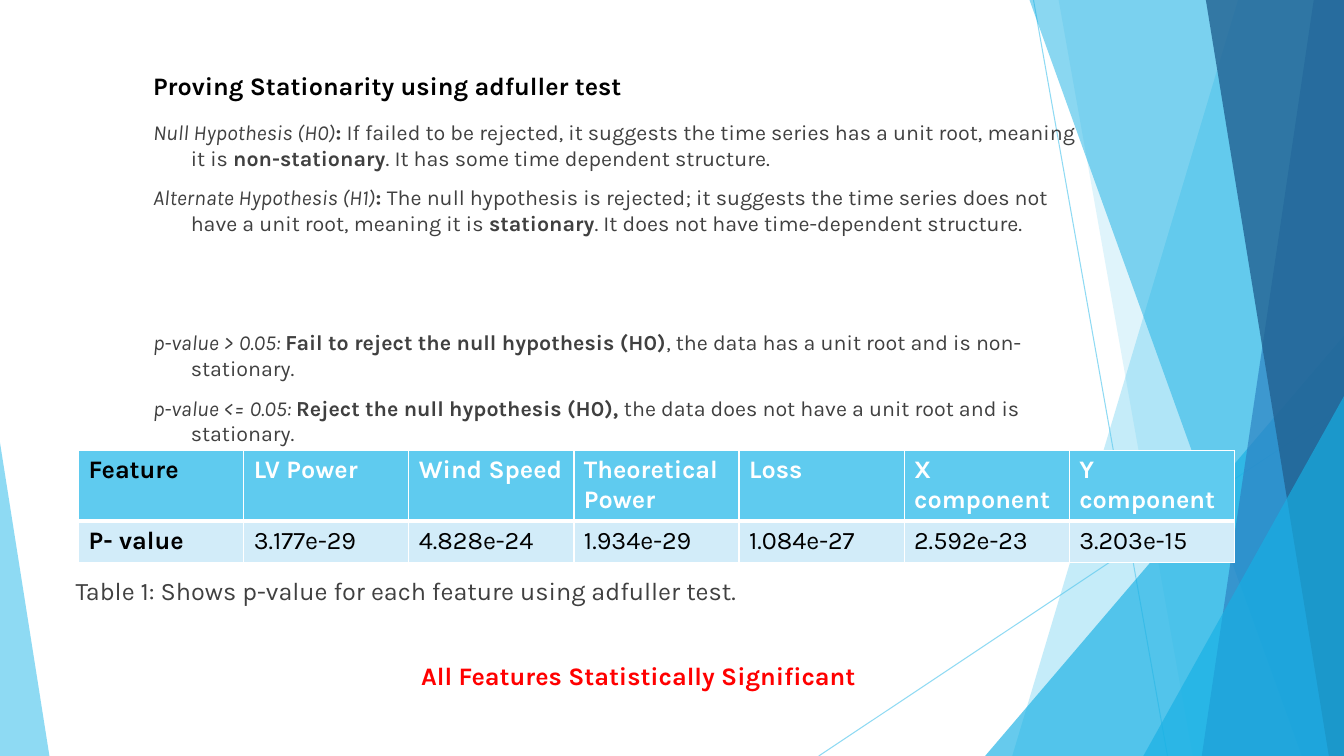
import pptx
import pptx.dml.color
import pptx.enum.shapes
import pptx.oxml
import pptx.oxml.ns
import pptx.util

SKY, AZURE, BLUE, NAVY = "5FCBEF", "17B0E4", "2E83C3", "226292"
PALE, WHITE, BLACK, GREY, RED = "D2ECF9", "FFFFFF", "000000", "404040", "FF0000"


def rgb(code):
    return pptx.dml.color.RGBColor.from_string(code)


class Board:
    """Slide with one font; all lengths are percent of its width or height."""

    def __init__(self, font, size):
        self.deck = pptx.Presentation()
        self.deck.slide_width = pptx.util.Inches(13.33)
        self.deck.slide_height = pptx.util.Inches(7.5)
        self.font, self.size = font, size
        self.slide = self.deck.slides.add_slide(self.deck.slide_layouts[6])
        self.shapes = self.slide.shapes

    def across(self, share):
        return round(self.deck.slide_width * share / 100)

    def down(self, share):
        return round(self.deck.slide_height * share / 100)

    def box(self, left, top, width, height):
        return (self.across(left), self.down(top),
                self.across(width), self.down(height))

    def fade(self, shape, share):
        """Set the opacity of the shape's one colour."""
        tint = next(shape._element.spPr.iter(pptx.oxml.ns.qn("a:srgbClr")))
        alpha = tint.makeelement(pptx.oxml.ns.qn("a:alpha"), {"val": str(share * 1000)})
        tint.append(alpha)

    def paint(self, shape, color, share):
        shape.shadow.inherit = False
        shape.fill.solid()
        shape.fill.fore_color.rgb = rgb(color)
        shape.line.fill.background()
        self.fade(shape, share)

    def line(self, start, end, color, share):
        kind = pptx.enum.shapes.MSO_CONNECTOR.STRAIGHT
        line = self.shapes.add_connector(
            kind, self.across(start[0]), self.down(start[1]),
            self.across(end[0]), self.down(end[1]))
        line.line.color.rgb = rgb(color)
        line.line.width = pptx.util.Pt(0.75)
        self.fade(line, share)
        spot = line._element.spPr
        spot.append(spot.makeelement(pptx.oxml.ns.qn("a:effectLst"), {}))

    def band(self, top, foot, color, share):
        """Fill from a slanted left edge to the slide's right side."""
        points = [(self.across(x), self.down(y))
                  for x, y in ((top, 0), (100, 0), (100, 100), (foot, 100))]
        path = self.shapes.build_freeform(*points[0], scale=1.0)
        path.add_line_segments(points[1:], close=True)
        self.paint(path.convert_to_shape(), color, share)

    def wedge(self, left, top, width, apex, color, share):
        """Triangle that stands on the slide's foot."""
        kind = pptx.enum.shapes.MSO_SHAPE.ISOSCELES_TRIANGLE
        shape = self.shapes.add_shape(kind, *self.box(left, top, width, 100 - top))
        shape.adjustments[0] = apex
        self.paint(shape, color, share)

    def style(self, run, color, size, bold=False, italic=False):
        run.font.name = self.font
        run.font.size = pptx.util.Pt(size)
        run.font.color.rgb = rgb(color)
        run.font.bold, run.font.italic = bold, italic

    def frame(self, *place):
        frame = self.shapes.add_textbox(*self.box(*place)).text_frame
        frame.word_wrap = True
        return frame

    def label(self, place, text, color, bold=True):
        frame = self.frame(*place)
        frame.text = text
        self.style(frame.paragraphs[0].runs[0], color, self.size, bold)

    def prose(self, place, items, color, size, hang):
        """Items are (space before, parts); a part is (text, mark)."""
        frame = self.frame(*place)
        for n, (space, parts) in enumerate(items):
            para = frame.add_paragraph() if n else frame.paragraphs[0]
            para.space_before = pptx.util.Pt(space)
            props = para._p.get_or_add_pPr()
            props.set("marL", str(self.across(hang)))
            props.set("indent", str(-self.across(hang)))
            for text, mark in parts:
                run = para.add_run()
                run.text = text
                self.style(run, color, size, mark == "b", mark == "i")

    def edge(self, cell, **widths):
        props = cell._tc.get_or_add_tcPr()
        for side, width in widths.items():
            props.append(pptx.oxml.parse_xml(
                f'<a:ln{side} {pptx.oxml.ns.nsdecls("a")} w="{pptx.util.Pt(width)}">'
                f'<a:solidFill><a:srgbClr val="{WHITE}"/></a:solidFill></a:ln{side}>'))

    def table(self, place, rows, heights):
        grid = self.shapes.add_table(len(rows), len(rows[0]), *self.box(*place)).table
        for r, row in enumerate(rows):
            grid.rows[r].height = self.down(heights[r])
            for c, text in enumerate(row):
                cell = grid.cell(r, c)
                head = r == 0
                self.edge(cell, L=1, R=1, T=1 if head else 3, B=3 if head else 1)
                cell.fill.solid()
                cell.fill.fore_color.rgb = rgb(SKY if head else PALE)
                cell.text = text
                color = WHITE if head and c else BLACK
                run = cell.text_frame.paragraphs[0].runs[0]
                self.style(run, color, self.size, head or c == 0)


TESTS = [
    (10, [("Null Hypothesis (H0)", "i"), (":", "b"),
          (" If failed to be rejected, it suggests the time series has a unit root, "
           "meaning it is ", ""),
          ("non-stationary", "b"), (". It has some time dependent structure.", "")]),
    (10, [("Alternate Hypothesis (H1)", "i"), (": ", "b"),
          ("The null hypothesis is rejected; it suggests the time series does not "
           "have a unit root, meaning it is ", ""),
          ("stationary", "b"), (". It does not have time-dependent structure.", "")]),
    (66.7, [("p-value > 0.05: ", "i"), ("Fail to reject the null hypothesis (H0)", "b"),
            (", the data has a unit root and is non-stationary.", "")]),
    (10, [("p-value <= 0.05: ", "i"), ("Reject the null hypothesis (H0),", "b"),
          (" the data does not have a unit root and is stationary.", "")]),
]
VALUES = [
    ["Feature", "LV Power", "Wind Speed", "Theoretical Power", "Loss",
     "X component", "Y component"],
    ["P- value", "3.177e-29", "4.828e-24", "1.934e-29", "1.084e-27",
     "2.592e-23", "3.203e-15"],
]


def main():
    board = Board("Karla", 18)
    board.line((76.9, 0), (86.87, 100), SKY, 70)
    board.line((100, 53.73), (60.92, 100), SKY, 70)
    board.band(92.12, 75.32, SKY, 36)
    board.band(78.77, 88.75, SKY, 20)
    board.wedge(73.3, 44.4, 26.7, 1, AZURE, 66)
    board.band(76.6, 96.85, AZURE, 50)
    board.band(97.75, 89.42, BLUE, 70)
    board.band(89.72, 98.87, NAVY, 80)
    board.wedge(85.07, 52.4, 14.93, 1, AZURE, 66)
    board.wedge(0, 58.53, 3.68, 0, SKY, 70)

    board.prose((10.65, 15.07, 70.5, 43.73), TESTS, GREY, 15.3, 2.81)
    board.label((10.65, 8.67, 49.9, 5.33), "Proving Stationarity using adfuller test", BLACK)
    board.table((5.85, 59.6, 86, 14.8), VALUES, (9.33, 5.47))
    board.label((4.88, 75.47, 62.64, 5.33),
                "Table 1: Shows p-value for each feature using adfuller test.", GREY, False)
    board.label((30.6, 86.67, 38.03, 5.33), "All Features Statistically Significant", RED)
    board.deck.save("out.pptx")


if __name__ == "__main__":
    main()
